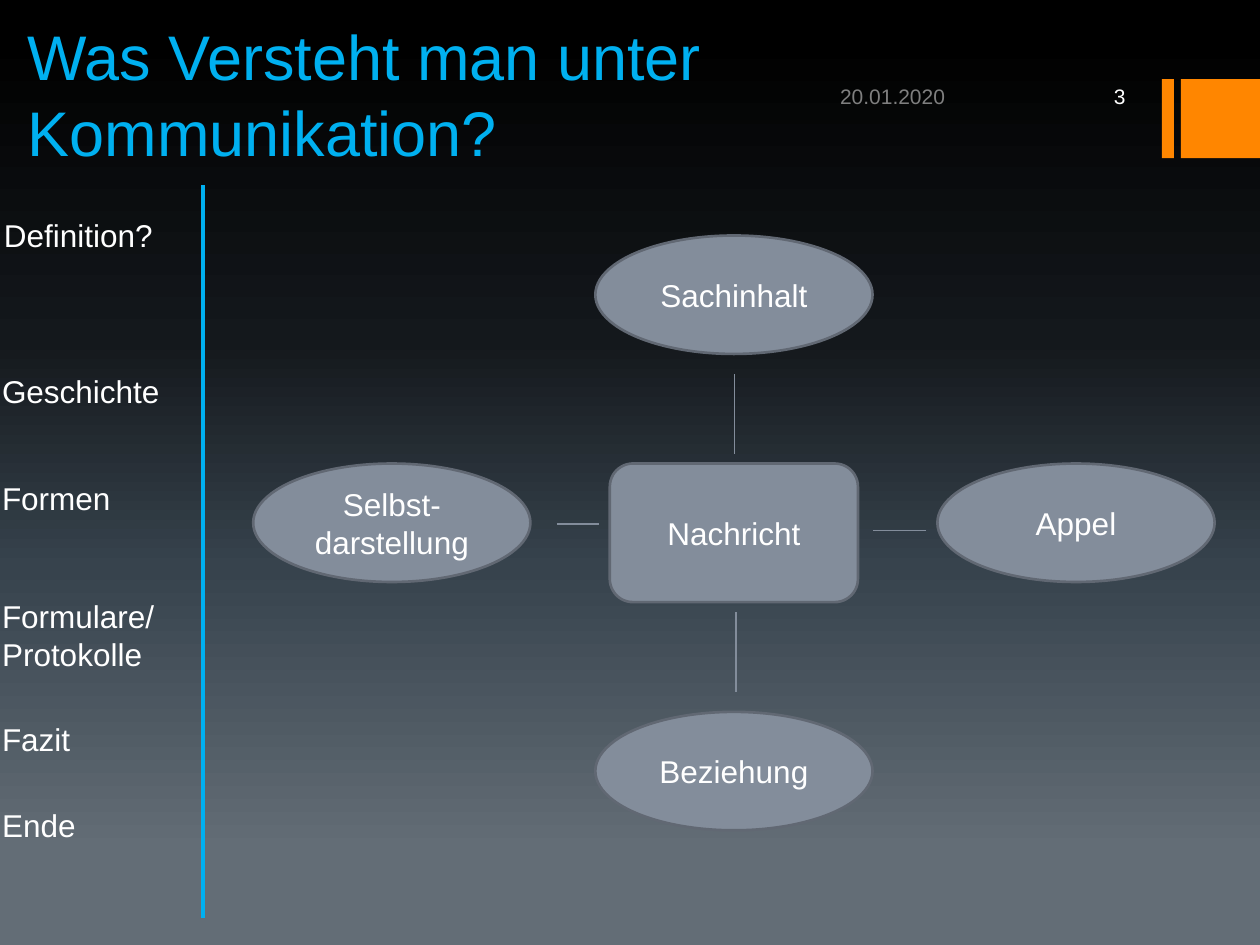
from lxml import etree
from pptx import Presentation
from pptx import util as u
from pptx.dml.color import RGBColor
from pptx.enum import shapes, text
from pptx.oxml.ns import qn

WHITE, BLUE, ORANGE = "FFFFFF", "00B0F0", "FF8600"
SLATE, EDGE, GREY = "838D9B", "616873", "7F7F7F"
LEFT, CENTER, RIGHT = text.PP_ALIGN.LEFT, text.PP_ALIGN.CENTER, text.PP_ALIGN.RIGHT
TOP, MIDDLE, BOTTOM = text.MSO_ANCHOR.TOP, text.MSO_ANCHOR.MIDDLE, text.MSO_ANCHOR.BOTTOM


def rgb(value):
    return RGBColor.from_string(value)


def points(*lengths):
    return [u.Pt(length) for length in lengths]


def write(holder, words, size=18, color=WHITE, align=LEFT, anchor=TOP):
    frame = holder.text_frame
    frame.text = words
    frame_format = {"word_wrap": True, "auto_size": text.MSO_AUTO_SIZE.NONE,
                    "vertical_anchor": anchor}
    for key, value in frame_format.items():
        setattr(frame, key, value)
    line = frame.paragraphs[0]
    line.alignment = align
    font = line.runs[0].font
    for key, value in {"name": "Arial", "size": u.Pt(size), "bold": False}.items():
        setattr(font, key, value)
    font.color.rgb = rgb(color)


def add_label(slide, box, words, **style):
    write(slide.shapes.add_textbox(*points(*box)), words, **style)


def add_solid(slide, kind, box, fill, edge=None):
    solid = slide.shapes.add_shape(kind, *points(*box))
    solid.shadow.inherit = False
    solid.fill.solid()
    solid.fill.fore_color.rgb = rgb(fill)
    if edge:
        solid.line.color.rgb = rgb(edge)
        solid.line.width = u.Pt(1.5)
    else:
        solid.line.fill.background()
    return solid


def add_rule(slide, ends, color, width):
    rule = slide.shapes.add_connector(shapes.MSO_CONNECTOR.STRAIGHT, *points(*ends))
    rule.line.color.rgb = rgb(color)
    rule.line.width = u.Pt(width)
    etree.SubElement(rule._element.spPr, qn("a:effectLst"))


def paint_background(slide):
    fill = slide.background.fill
    fill.gradient()
    fill.gradient_angle = 270
    stops = fill._fill._gradFill.find(qn("a:gsLst"))
    for stop in list(stops):
        stops.remove(stop)
    for percent, color in ((4, "000000"), (36, "14181C"), (60, "37434D"), (90, "636D76")):
        stop = etree.SubElement(stops, qn("a:gs"), pos=str(percent * 1000))
        etree.SubElement(stop, qn("a:srgbClr"), val=color)


def build_header(slide, left, top, width):
    title = slide.shapes.title
    place = dict(zip(("left", "top", "width", "height"),
                     points(left + 8.64, top + 9.36, 458, 90.7)))
    for key, value in place.items():
        setattr(title, key, value)
    write(title, "Was Versteht man unter Kommunikation?", size=36, color=BLUE, anchor=BOTTOM)
    add_label(slide, (left + 473, top + 43.2, 93.6, 23.8), "20.01.2020",
              size=12, color=GREY, anchor=MIDDLE)
    add_label(slide, (left + 576, top + 43.2, 74.2, 23.8), "3",
              size=12, align=RIGHT, anchor=MIDDLE)
    block = 45.2
    for offset, bar in ((56, 6.8), (block, block)):
        add_solid(slide, shapes.MSO_SHAPE.RECTANGLE,
                  (left + width - offset, top + 45.2, bar, block), ORANGE)


def build_agenda(slide, left, top, width, height):
    add_rule(slide, (left + width, top, left + width, top + height), BLUE, 1.75)
    add_label(slide, (left - 12.2, top + 14.4, 113.8, 28.8), "Definition?", align=CENTER)
    for chapter, drop in (("Geschichte", 103), ("Formen", 164.2),
                          ("Formulare/ Protokolle", 232), ("Fazit", 302.4),
                          ("Ende", 351.4)):
        add_label(slide, (left - 5.9, top + drop, 111, 28.8), chapter)


def build_message_model(slide, left, top, width, height):
    oval_width, oval_height = 158.4, 67.7
    column = (width - oval_width) / 2
    middle = 130.3
    message_width = 141.8

    message = add_solid(slide, shapes.MSO_SHAPE.ROUNDED_RECTANGLE,
                        (left + (width - message_width) / 2, top + middle, message_width, 79.2),
                        SLATE, EDGE)
    write(message, "Nachricht", align=CENTER, anchor=MIDDLE)

    for side, x, y in (("Sachinhalt", column, 0),
                       ("Beziehung", column, height - oval_height),
                       ("Appel", 2 * column, middle),
                       ("Selbst-darstellung", 0, middle)):
        oval = add_solid(slide, shapes.MSO_SHAPE.OVAL,
                         (left + x, top + y, oval_width, oval_height), SLATE, EDGE)
        write(oval, side, align=CENTER, anchor=MIDDLE)

    for x1, y1, x2, y2 in ((275, 79.2, 275, 124.6), (173.5, 165, 197.3, 165),
                           (384.5, 168.5, 354.3, 168.5), (275.8, 215.3, 275.8, 260.7)):
        add_rule(slide, (left + x1, top + y1, left + x2, top + y2), SLATE, 1)


def main():
    deck = Presentation()
    deck.slide_width, deck.slide_height = points(720, 540)
    slide = deck.slides.add_slide(deck.slide_layouts[5])
    paint_background(slide)
    build_header(slide, 0, 0, 720)
    build_agenda(slide, 0, 105.8, 116, 419)
    build_message_model(slide, 144.7, 134.6, 549.4, 339.9)
    deck.save("out.pptx")


if __name__ == "__main__":
    main()
